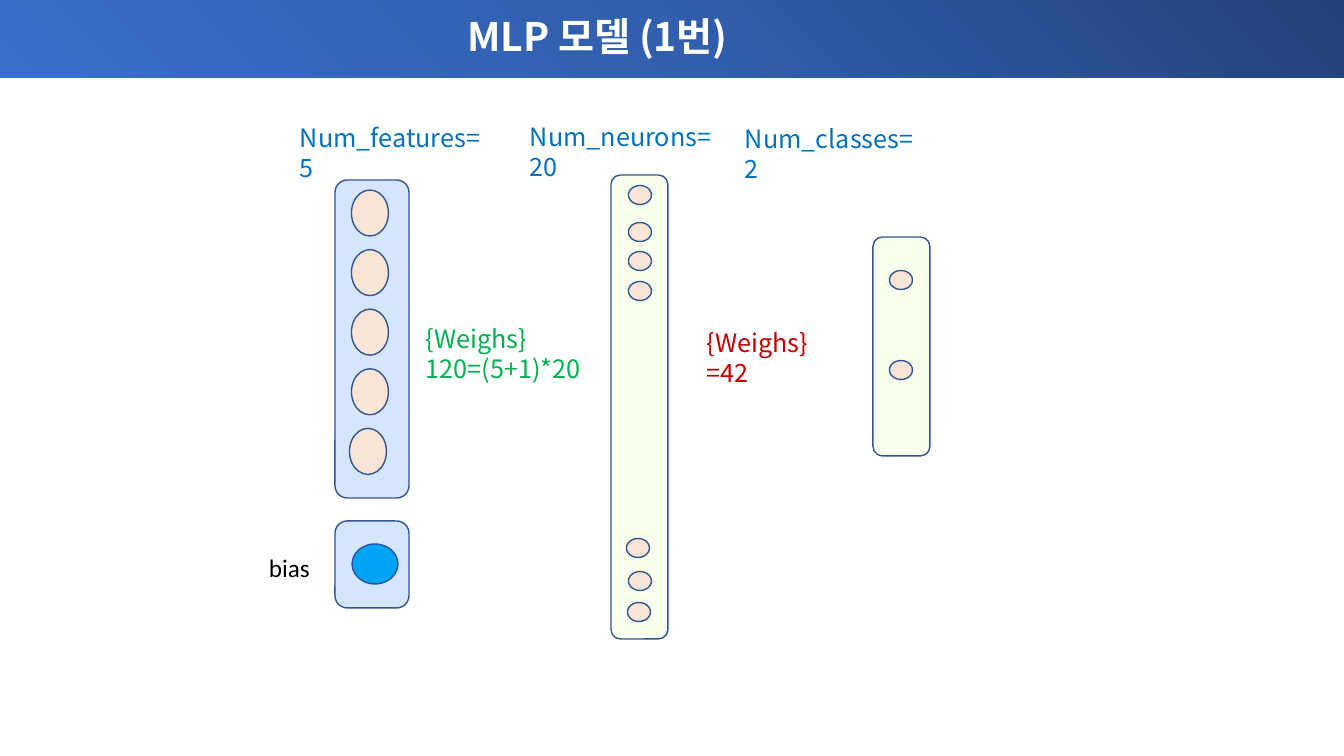
import pptx
import pptx.util
from lxml import etree
from pptx.dml.color import RGBColor
from pptx.enum.shapes import MSO_SHAPE
from pptx.enum.text import MSO_ANCHOR, PP_ALIGN
from pptx.oxml import parse_xml
from pptx.oxml.ns import nsdecls, qn

EMU_PER_PX = 914400 / 100.8
SLIDE_SIZE = (1344, 756)
HEADER_BOX = (0, 0, 1344, 78)


class Theme:
    sans = "Noto Sans CJK KR"
    body = "Calibri"
    title_size, label_size = 28, 18
    label_pitch = 21.4
    white, black = "FFFFFF", "000000"
    blue, green, red = "0070C0", "00B050", "C00000"
    outline, neuron, bias = "325491", "FBE5D6", "00B0F0"
    input_layer, dense_layer = ("0066FF", 16), ("CCFF66", 12)
    header_stops = ((0, "23427A"), (50, "315EAD"), (100, "3A6FCE"))


TITLE = ("MLP 모델 (1번)", (35, 1, 1125, 75))

# box, (colour, opacity in percent)
LAYERS = [
    ((611, 175, 57, 464), Theme.dense_layer),
    ((335, 180, 74, 318), Theme.input_layer),
    ((873, 237, 57, 219), Theme.dense_layer),
]
BIAS_NEURON = (375, 564)
BIAS_LAYER = ((335, 521, 74, 87), Theme.input_layer)

# neuron centres, neuron size
INPUT_NEURONS = [(370 if i < 4 else 368, 213 + 59.6 * i) for i in range(5)]
HIDDEN_NEURONS = [(640, 195), (640, 232), (640, 261), (640, 291),
                  (638, 548), (640, 581), (639, 612)]
OUTPUT_NEURONS = [(901, 280), (901, 370)]
LARGE, SMALL, BIAS_SIZE = (37, 46), (23, 19), (46, 40)

# lines, box, colour, font, wrapped
LABELS = [
    (["bias"], (259, 548, 62, 40), Theme.black, Theme.body, False),
    (["Num_features=5"], (290, 118, 211, 40), Theme.blue, Theme.sans, True),
    (["Num_neurons=20"], (520, 117, 215, 40), Theme.blue, Theme.sans, True),
    (["Num_classes=2"], (735, 119, 193, 40), Theme.blue, Theme.sans, True),
    (["{Weighs}", "120=(5+1)*20"], (416, 319, 192, 72), Theme.green, Theme.sans, True),
    (["{Weighs}=42"], (697, 323, 161, 40), Theme.red, Theme.sans, True),
]


def emu(lengths):
    return [round(length * EMU_PER_PX) for length in lengths]


def add_shape(slide, kind, box, colour, opacity=100):
    shape = slide.shapes.add_shape(kind, *emu(box))
    shape.shadow.inherit = False
    shape.fill.solid()
    shape.fill.fore_color.rgb = RGBColor.from_string(colour)
    if opacity < 100:
        colour_element = shape.fill._xPr.find(".//" + qn("a:srgbClr"))
        etree.SubElement(colour_element, qn("a:alpha"), val=str(opacity * 1000))
    shape.line.color.rgb = RGBColor.from_string(Theme.outline)
    shape.line.width = pptx.util.Pt(1)
    return shape


def add_neuron(slide, centre, size, colour=Theme.neuron):
    (x, y), (width, height) = centre, size
    add_shape(slide, MSO_SHAPE.OVAL, (x - width / 2, y - height / 2, width, height), colour)


def add_header(slide):
    """Add the band whose gradient spreads from its top right corner."""
    header = add_shape(slide, MSO_SHAPE.RECTANGLE, HEADER_BOX, Theme.white)
    header.line.fill.background()
    stops = "".join(f'<a:gs pos="{position * 1000}"><a:srgbClr val="{colour}"/></a:gs>'
                    for position, colour in Theme.header_stops)
    gradient = parse_xml(
        f'<a:gradFill {nsdecls("a")} rotWithShape="1"><a:gsLst>{stops}</a:gsLst>'
        '<a:path path="circle"><a:fillToRect l="100000" b="100000"/></a:path></a:gradFill>')
    properties = header._element.spPr
    properties.replace(properties.find(qn("a:solidFill")), gradient)


def add_text(slide, lines, box, colour, font, size, wrapped):
    text_box = slide.shapes.add_textbox(*emu(box))
    frame = text_box.text_frame
    frame.text = "\n".join(lines)
    frame.word_wrap = wrapped
    for paragraph in frame.paragraphs:
        for run in paragraph.runs:
            run.font.size = pptx.util.Pt(size)
            run.font.name = font
            run.font.color.rgb = RGBColor.from_string(colour)
            etree.SubElement(run.font._element, qn("a:ea"), typeface=font)
    return frame


def main():
    presentation = pptx.Presentation()
    presentation.slide_width, presentation.slide_height = emu(SLIDE_SIZE)
    slide = presentation.slides.add_slide(presentation.slide_layouts[6])

    add_header(slide)
    text, box = TITLE
    frame = add_text(slide, [text], box, Theme.white, Theme.sans, Theme.title_size, True)
    frame.vertical_anchor = MSO_ANCHOR.MIDDLE
    title = frame.paragraphs[0]
    title.alignment = PP_ALIGN.CENTER
    title.line_spacing = 0.9
    title.runs[0].font.bold = True

    for box, fill in LAYERS:
        add_shape(slide, MSO_SHAPE.ROUNDED_RECTANGLE, box, *fill)
    add_neuron(slide, BIAS_NEURON, BIAS_SIZE, Theme.bias)
    box, fill = BIAS_LAYER
    add_shape(slide, MSO_SHAPE.ROUNDED_RECTANGLE, box, *fill)

    for centres, size in ((INPUT_NEURONS, LARGE), (HIDDEN_NEURONS, SMALL),
                          (OUTPUT_NEURONS, SMALL)):
        for centre in centres:
            add_neuron(slide, centre, size)

    for lines, box, colour, font, wrapped in LABELS:
        frame = add_text(slide, lines, box, colour, font, Theme.label_size, wrapped)
        for paragraph in frame.paragraphs:
            paragraph.line_spacing = pptx.util.Pt(Theme.label_pitch)

    presentation.save("out.pptx")


if __name__ == "__main__":
    main()
